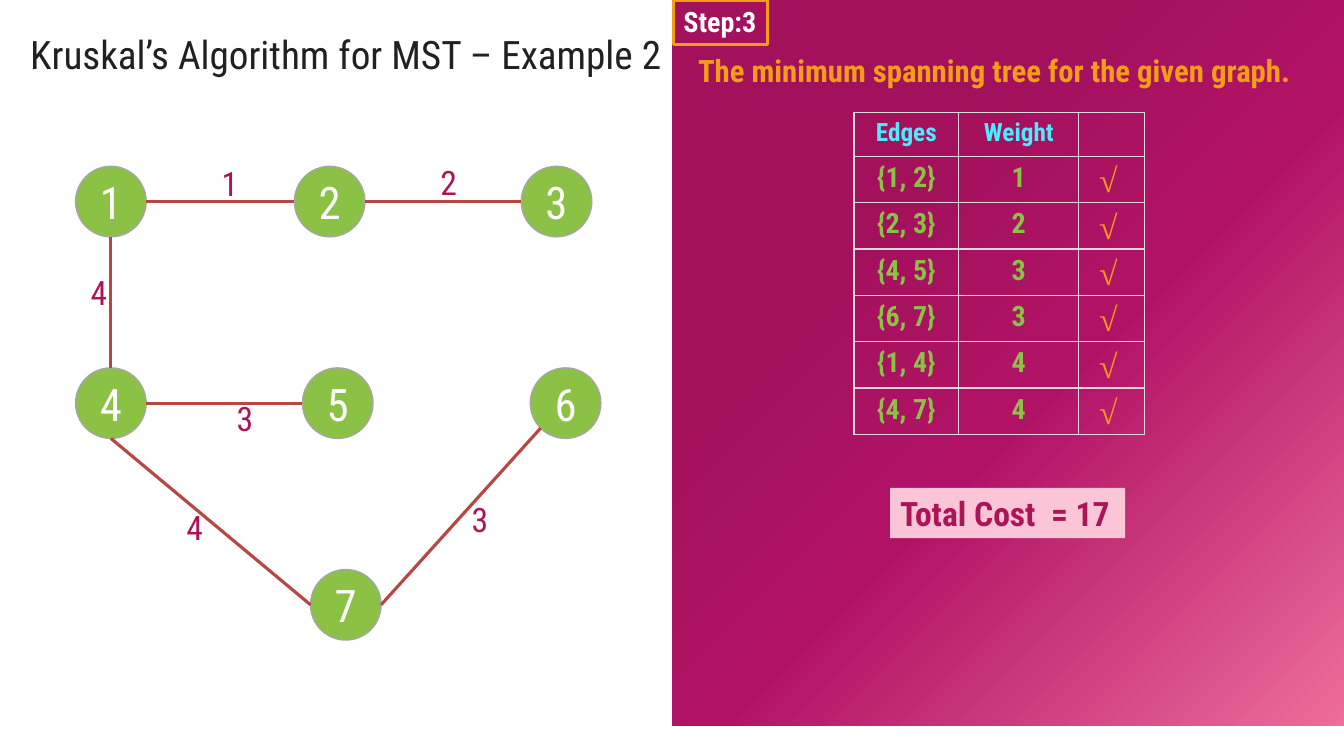
from dataclasses import dataclass
from math import sqrt

from lxml.etree import SubElement
from pptx import Presentation
from pptx.dml.color import RGBColor
from pptx.enum.shapes import MSO_CONNECTOR as Connector, MSO_SHAPE as Shape
from pptx.enum.text import MSO_ANCHOR as Anchor, MSO_AUTO_SIZE as AutoSize, PP_ALIGN as Align
from pptx.oxml import parse_xml
from pptx.oxml.ns import nsdecls, qn
from pptx.util import Inches, Pt


@dataclass(frozen=True)
class Theme:
    font: str = "Roboto Condensed"
    tick_font: str = "Times New Roman"
    ink: str = "212121"
    white: str = "FFFFFF"
    node: str = "8BC145"
    node_line: str = "A6A6A6"
    edge: str = "B84742"
    weight: str = "AD1457"
    accent: str = "F19D19"
    header: str = "4CEBFF"
    border: str = "D9D9D9"
    total_fill: str = "F9C5D7"
    panel: tuple = ((30, "A3115D"), (55, "B21266"), (100, "ED6D9B"))
    title_size: int = 28
    node_size: int = 32
    large: int = 24
    heading_size: int = 22
    body: int = 20
    header_size: int = 18


THEME = Theme()

TITLE = "Kruskal’s Algorithm for MST – Example 2"
STEP = "Step:3"
HEADING = "The minimum spanning tree for the given graph."
TOTAL = "Total Cost  = 17"
TICK = "√"
HEADERS = ("Edges", "Weight", "")
TREE_EDGES = (
    ("{1, 2}", "1"),
    ("{2, 3}", "2"),
    ("{4, 5}", "3"),
    ("{6, 7}", "3"),
    ("{1, 4}", "4"),
    ("{4, 7}", "4"),
)
NODES = {
    "1": (0.75, 1.65),
    "2": (2.92, 1.65),
    "3": (5.17, 1.65),
    "4": (0.75, 3.65),
    "5": (3, 3.65),
    "6": (5.26, 3.65),
    "7": (3.08, 5.65),
}
LINKS = (
    ("1", "right", "2", "left", "1", (2.1, 1.57)),
    ("2", "right", "3", "left", "2", (4.27, 1.56)),
    ("4", "right", "5", "left", "3", (2.25, 3.9)),
    ("1", "bottom", "4", "top", "4", (0.8, 2.65)),
    ("6", "bottom left", "7", "right", "3", (4.58, 4.9)),
    ("4", "bottom", "7", "left", "4", (1.75, 4.98)),
)

NODE_DIAMETER = 0.7
SITES = {
    "top": (0, -1),
    "left": (-1, 0),
    "bottom": (0, 1),
    "right": (1, 0),
    "bottom left": (-sqrt(0.5), sqrt(0.5)),
}
TABLE_LEFT, TABLE_TOP = 8.47, 1.12
COLUMN_WIDTHS = (1.04, 1.19, 0.65)
HEADER_HEIGHT, ROW_HEIGHT = 0.43, 0.46

deck = Presentation()
deck.slide_width, deck.slide_height = Inches(13.33), Inches(7.5)
slide = deck.slides.add_slide(deck.slide_layouts[5])
shapes = slide.shapes


def rgb(value):
    return RGBColor.from_string(value)


def write(frame, text, *, size, color, font=THEME.font, bold=False, italic=False,
          align=Align.LEFT, anchor=Anchor.TOP, wrap=True, insets=(0.1, 0.05, 0.1, 0.05),
          spacing=None):
    frame.auto_size = AutoSize.NONE
    frame.word_wrap = wrap
    frame.vertical_anchor = anchor
    frame.margin_left, frame.margin_top, frame.margin_right, frame.margin_bottom = map(Inches, insets)
    style_text(frame, text, size, color, font, bold, italic, align, spacing)


def style_text(frame, text, size, color, font=THEME.font, bold=False, italic=False,
               align=Align.CENTER, spacing=None):
    paragraph = frame.paragraphs[0]
    paragraph.alignment = align
    paragraph.line_spacing = spacing
    run = paragraph.add_run()
    run.text = text
    run.font.name, run.font.size = font, Pt(size)
    run.font.bold, run.font.italic = bold, italic
    run.font.color.rgb = rgb(color)


def add_block(kind, box, fill=None, line=None, line_width=1):
    block = shapes.add_shape(kind, *map(Inches, box))
    block.shadow.inherit = False
    if fill:
        block.fill.solid()
        block.fill.fore_color.rgb = rgb(fill)
    else:
        block.fill.background()
    if line:
        block.line.color.rgb = rgb(line)
        block.line.width = Pt(line_width)
    else:
        block.line.fill.background()
    return block


def add_label(box, text, **format):
    write(shapes.add_textbox(*map(Inches, box)).text_frame, text, **format)


def site_point(node, site):
    radius = NODE_DIAMETER / 2
    return [Inches(start + radius + radius * step) for start, step in zip(NODES[node], SITES[site])]


def fill_gradient(block, stops):
    block.fill.background()
    properties = block.fill._xPr
    stop_xml = "".join(
        f'<a:gs pos="{position * 1000}"><a:srgbClr val="{color}"/></a:gs>' for position, color in stops
    )
    gradient = parse_xml(
        f'<a:gradFill {nsdecls("a")} rotWithShape="1"><a:gsLst>{stop_xml}</a:gsLst>'
        '<a:path path="circle"><a:fillToRect r="100000" b="100000"/></a:path></a:gradFill>'
    )
    properties.replace(properties.find(qn("a:noFill")), gradient)


def border_cell(cell):
    properties = cell._tc.get_or_add_tcPr()
    for side in ("lnL", "lnR", "lnT", "lnB"):
        border = SubElement(properties, qn(f"a:{side}"), w=str(Pt(1)))
        SubElement(SubElement(border, qn("a:solidFill")), qn("a:srgbClr"), val=THEME.border)
    cell.fill.background()


panel = add_block(Shape.RECTANGLE, (6.67, 0, 6.67, 7.2))
fill_gradient(panel, THEME.panel)

title = shapes.title
title.left, title.top, title.width, title.height = map(Inches, (0, 0.01, 6.8, 0.81))
write(title.text_frame, TITLE, size=THEME.title_size, color=THEME.ink, anchor=Anchor.MIDDLE,
      insets=(0.3, 0.05, 0.1, 0.05), spacing=1.5)

for name, position in NODES.items():
    node = add_block(Shape.OVAL, (*position, NODE_DIAMETER, NODE_DIAMETER), THEME.node, THEME.node_line)
    write(node.text_frame, name, size=THEME.node_size, color=THEME.white, align=Align.CENTER,
          anchor=Anchor.MIDDLE, insets=(0, 0, 0, 0))

for first, first_site, second, second_site, weight, weight_position in LINKS:
    link = shapes.add_connector(Connector.STRAIGHT, *site_point(first, first_site),
                                *site_point(second, second_site))
    link.line.color.rgb = rgb(THEME.edge)
    link.line.width = Pt(2.25)
    SubElement(link._element.spPr, qn("a:effectLst"))
    add_label((*weight_position, 0.4, 0.5), weight, size=THEME.large, color=THEME.weight)

step = add_block(Shape.RECTANGLE, (6.68, 0, 0.93, 0.44), line=THEME.accent, line_width=2.25)
write(step.text_frame, STEP, size=THEME.body, color=THEME.white, bold=True, wrap=False)
add_label((6.67, 0.46, 6.38, 0.47), HEADING, size=THEME.heading_size, color=THEME.accent,
          bold=True, align=Align.CENTER)

table_rows = (HEADERS, *((*edge, "") for edge in TREE_EDGES))
row_heights = (HEADER_HEIGHT, *(ROW_HEIGHT for edge in TREE_EDGES))
edge_table = shapes.add_table(
    len(table_rows), len(HEADERS), Inches(TABLE_LEFT), Inches(TABLE_TOP),
    Inches(sum(COLUMN_WIDTHS)), Inches(sum(row_heights))
).table
edge_table.first_row = edge_table.horz_banding = False
for column, width in zip(edge_table.columns, COLUMN_WIDTHS):
    column.width = Inches(width)
for row, height, texts in zip(edge_table.rows, row_heights, table_rows):
    row.height = Inches(height)
    is_header = texts is HEADERS
    for cell, text in zip(row.cells, texts):
        border_cell(cell)
        if text:
            style_text(cell.text_frame, text, THEME.header_size if is_header else THEME.body,
                       THEME.header if is_header else THEME.node, bold=True)

for index in range(len(TREE_EDGES)):
    tick_top = TABLE_TOP + HEADER_HEIGHT + index * ROW_HEIGHT
    add_label((10.74, tick_top, 0.5, ROW_HEIGHT), TICK, size=THEME.large, color=THEME.accent,
              font=THEME.tick_font, bold=True, italic=True, align=Align.CENTER, anchor=Anchor.MIDDLE)

total = add_block(Shape.RECTANGLE, (8.83, 4.84, 2.33, 0.5), THEME.total_fill)
write(total.text_frame, TOTAL, size=THEME.large, color=THEME.weight, bold=True, wrap=False)

deck.save("out.pptx")
